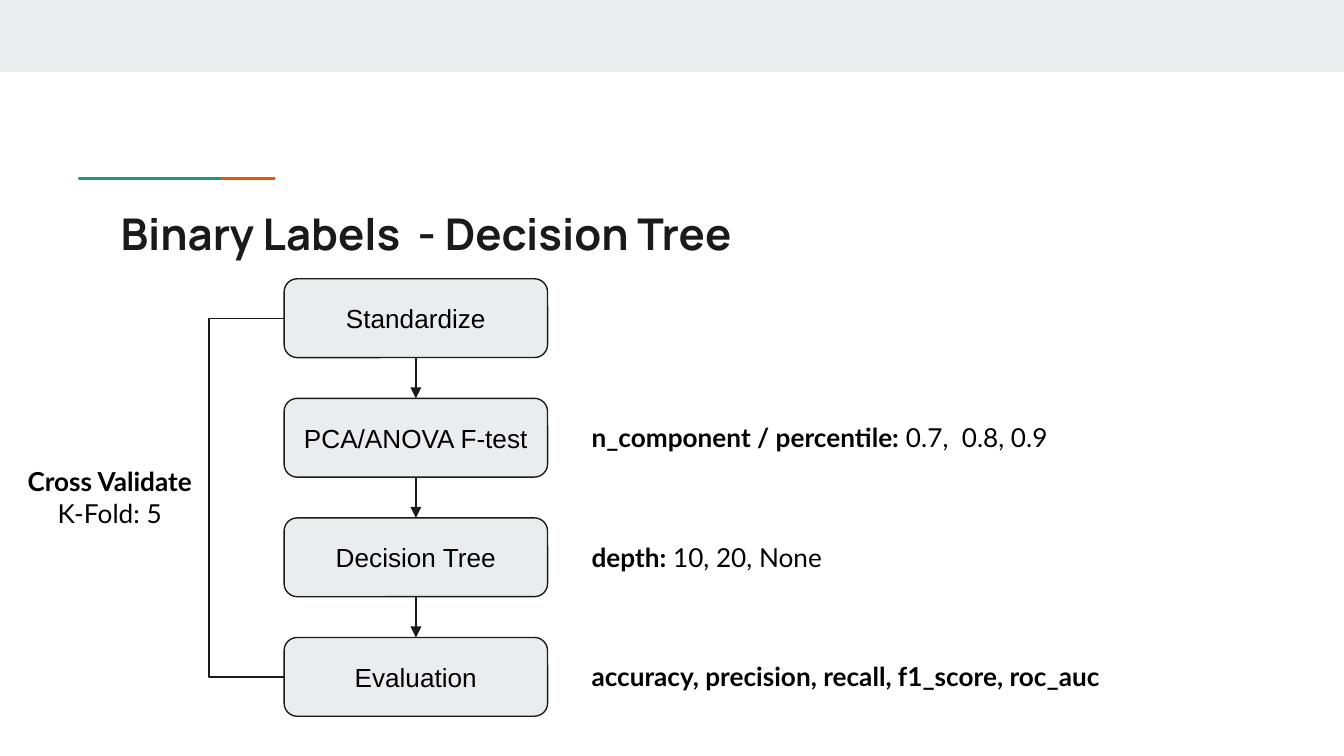
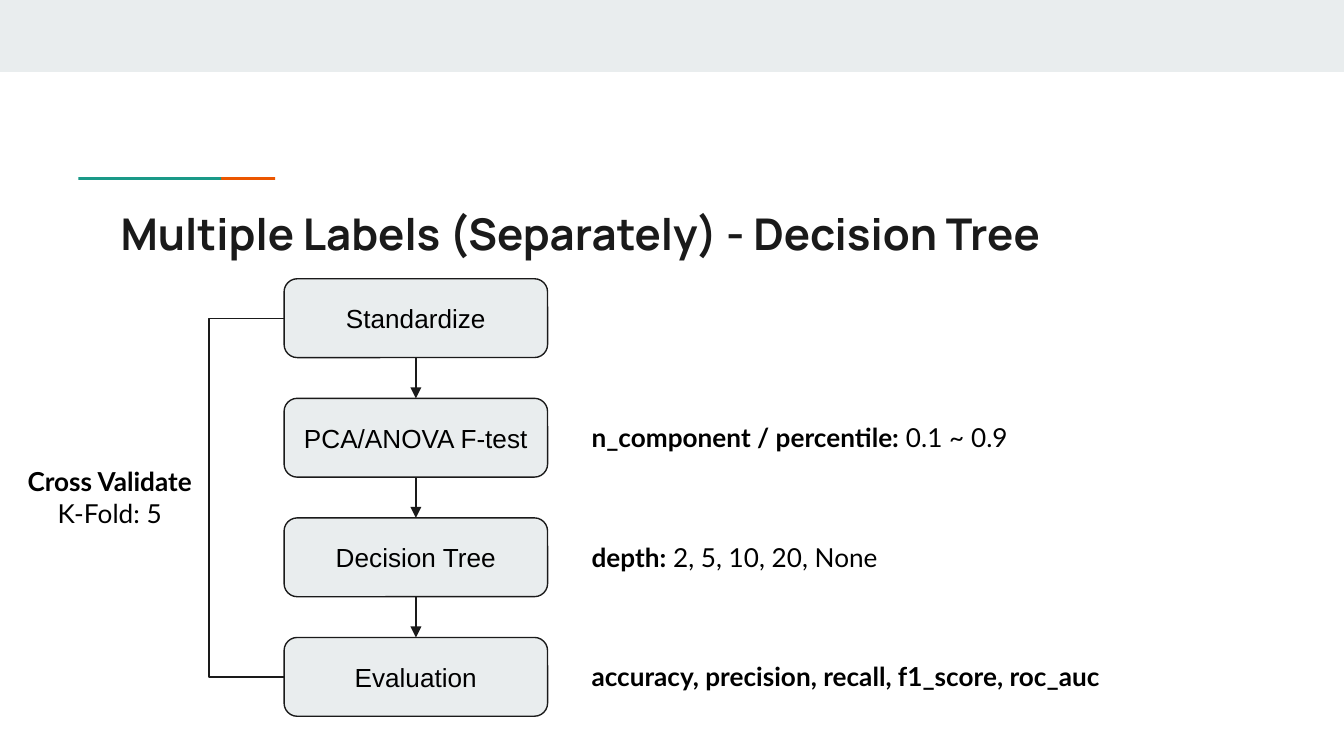
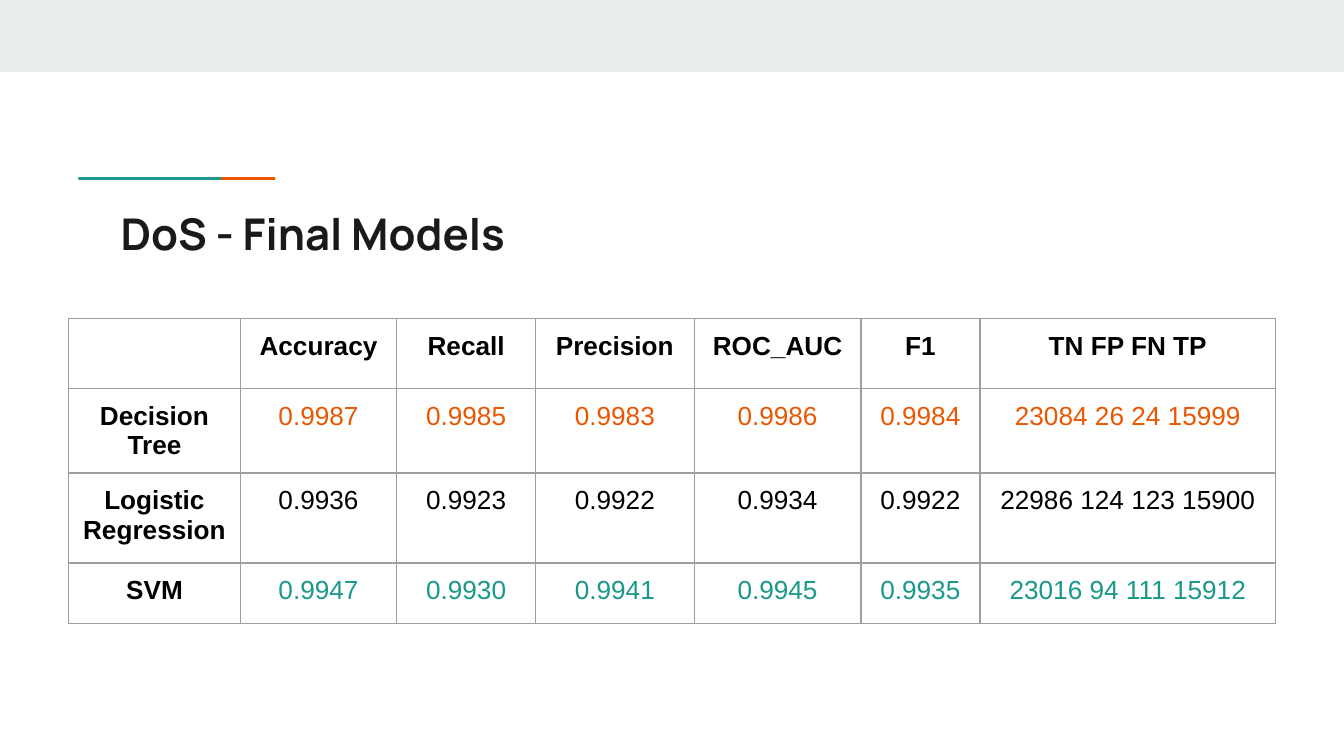
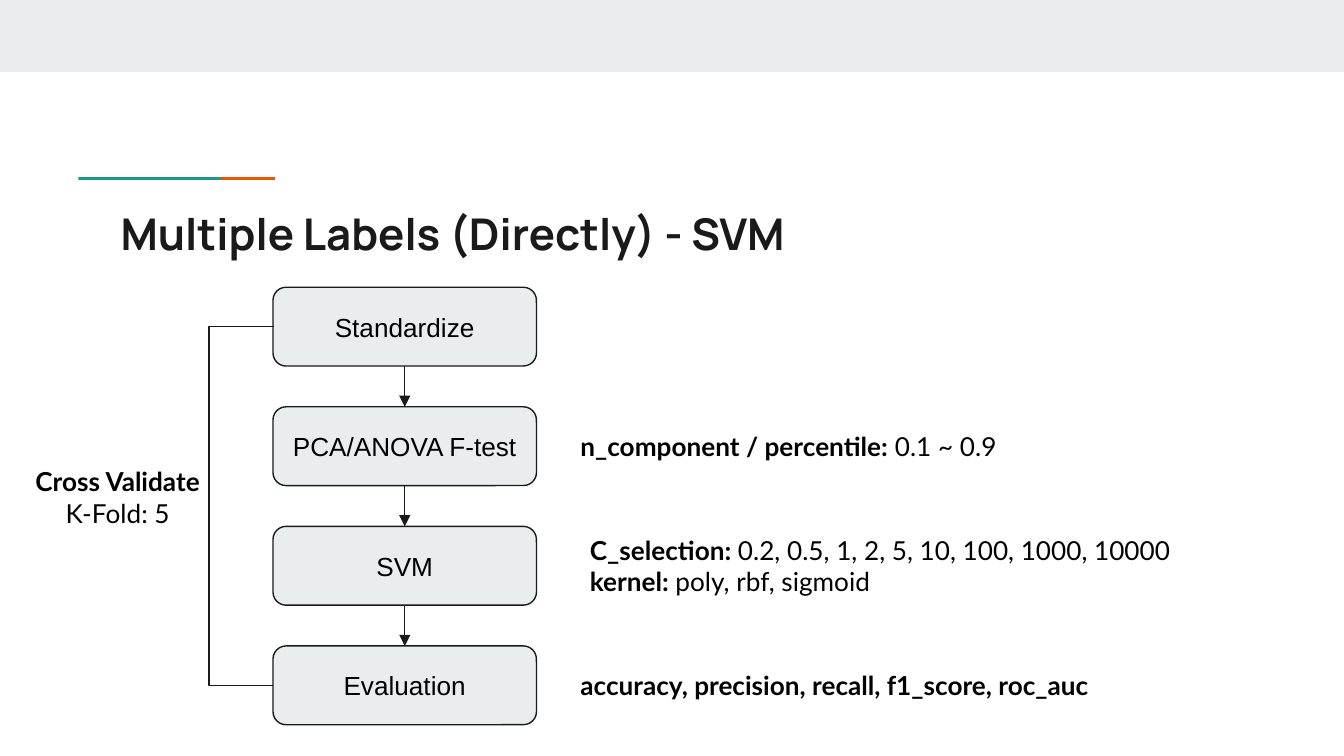
from lxml.etree import SubElement
from pptx import Presentation
from pptx.dml.color import RGBColor
from pptx.enum.shapes import MSO_CONNECTOR, MSO_SHAPE
from pptx.enum.text import MSO_ANCHOR, MSO_AUTO_SIZE, PP_ALIGN
from pptx.oxml.ns import qn
from pptx.util import Cm, Pt

MIST, INK, BLACK = "E9EDEE", "1A1A1A", "000000"
TEAL, ORANGE, GREY = "1A9988", "EB5600", "9E9E9E"
TITLE_FONT, NOTE_FONT, BOX_FONT = "Manrope", "Lato", "Arial"
INSET = Cm(0.25)

# Flow chart measures, in cm
STEP_WIDTH, STEP_HEIGHT, STEP_PITCH = 4.98, 1.49, 2.26
NOTE_OFFSET, NOTE_WIDTH, LINE_HEIGHT, NOTE_PADDING = 5.56, 10.19, 0.59, 0.52
BRACKET_LEFT, BRACKET_SPAN = 3.95, 0.01
LABEL_TOP, LABEL_WIDTH = 8.55, 4.45

METRICS_NOTE = [("accuracy, precision, recall, f1_score, roc_auc", "")]
SCORES = [
    (BLACK, ["", "Accuracy", "Recall", "Precision", "ROC_AUC", "F1", "TN FP FN TP"]),
    (ORANGE, ["Decision Tree", "0.9987", "0.9985", "0.9983", "0.9986", "0.9984",
              "23084 26 24 15999"]),
    (BLACK, ["Logistic Regression", "0.9936", "0.9923", "0.9922", "0.9934", "0.9922",
             "22986 124 123 15900"]),
    (TEAL, ["SVM", "0.9947", "0.9930", "0.9941", "0.9945", "0.9935",
            "23016 94 111 15912"]),
]
COLUMN_WIDTHS = [3.24, 2.96, 2.62, 3.0, 3.15, 2.25, 5.59]
ROW_HEIGHTS = [1.32, 1.6, 1.7, 1.15]


def colour(value):
    return RGBColor.from_string(value)


def style(para, font, size, hue, bold=None, align=PP_ALIGN.LEFT):
    para.alignment = align
    para.font.name, para.font.size = font, Pt(size)
    para.font.bold = bold
    para.font.color.rgb = colour(hue)


def set_insets(frame):
    frame.margin_left = frame.margin_right = INSET
    frame.margin_top = frame.margin_bottom = INSET
    frame.word_wrap = True


def add_shape(page, kind, left, top, width, height, fill, line=None):
    shape = page.shapes.add_shape(kind, Cm(left), Cm(top), Cm(width), Cm(height))
    shape.shadow.inherit = False
    shape.fill.solid()
    shape.fill.fore_color.rgb = colour(fill)
    if line:
        shape.line.color.rgb = colour(line)
        shape.line.width = Pt(0.75)
    else:
        shape.line.fill.background()
    return shape


def add_title_page(deck, title):
    """Blank page with the top band, two overlapping accent bars and a title."""
    page = deck.slides.add_slide(deck.slide_layouts[6])
    for hue, left, top, width, height in [
        (MIST, 0, 0, 25.4, 1.36),
        (ORANGE, 2.5, 3.35, 2.7, 0.05),
        (TEAL, 1.48, 3.35, 2.7, 0.05),
    ]:
        add_shape(page, MSO_SHAPE.RECTANGLE, left, top, width, height, hue)
    frame = page.shapes.add_textbox(Cm(2.03), Cm(3.66), Cm(21.36), Cm(1.5)).text_frame
    set_insets(frame)
    frame.text = title
    style(frame.paragraphs[0], TITLE_FONT, 23.4, INK, True)
    return page


def note_height(lines):
    return len(lines) * LINE_HEIGHT + NOTE_PADDING


def add_note(page, left, top, width, lines, align=PP_ALIGN.LEFT):
    """Each line is a pair: a bold part and a plain part."""
    box = page.shapes.add_textbox(Cm(left), Cm(top), Cm(width), Cm(note_height(lines)))
    frame = box.text_frame
    set_insets(frame)
    frame.auto_size = MSO_AUTO_SIZE.SHAPE_TO_FIT_TEXT
    for number, parts in enumerate(lines):
        para = frame.add_paragraph() if number else frame.paragraphs[0]
        for text, bold in zip(parts, (True, False)):
            if text:
                span = para.add_run()
                span.text = text
                span.font.bold = bold
        style(para, NOTE_FONT, 14, BLACK, align=align)


def add_step(page, left, top, text):
    step = add_shape(page, MSO_SHAPE.ROUNDED_RECTANGLE, left, top,
                     STEP_WIDTH, STEP_HEIGHT, MIST, INK)
    frame = step.text_frame
    set_insets(frame)
    frame.vertical_anchor = MSO_ANCHOR.MIDDLE
    frame.text = text
    style(frame.paragraphs[0], BOX_FONT, 14, BLACK, align=PP_ALIGN.CENTER)
    return step


def join(page, kind, start, start_side, end, end_side):
    link = page.shapes.add_connector(kind, 0, 0, 0, 0)
    link.begin_connect(start, start_side)
    link.end_connect(end, end_side)
    link.line.color.rgb = colour(INK)
    link.line.width = Pt(0.75)
    SubElement(link._element.spPr, qn("a:effectLst"))
    return link


def add_arrow(page, start, end):
    arrow = join(page, MSO_CONNECTOR.STRAIGHT, start, 2, end, 0)
    SubElement(arrow.line._get_or_add_ln(), qn("a:tailEnd"), type="triangle")


def add_bracket(page, left, first, last):
    """Elbow line from the last step round the left side to the first."""
    bracket = join(page, MSO_CONNECTOR.ELBOW, last, 1, first, 1)
    # The bend is a share of the width, so the width must not be zero
    bracket.width = Cm(BRACKET_SPAN)
    # A half turn plus a sideways flip runs upwards and bends to the left
    frame = bracket._element.spPr.find(qn("a:xfrm"))
    frame.attrib.pop("flipV", None)
    frame.set("rot", "10800000")
    frame.set("flipH", "1")
    bend = round((BRACKET_LEFT - left) / BRACKET_SPAN * 100000)
    guides = bracket._element.spPr.find(qn("a:prstGeom")).get_or_add_avLst()
    SubElement(guides, qn("a:gd"), name="adj1", fmla=f"val {bend}")


def add_flow(page, left, top, model, notes, label_left):
    """Four steps downwards; notes are (step number, shift, width, lines)."""
    names = ["Standardize", "PCA/ANOVA F-test", model, "Evaluation"]
    steps = [add_step(page, left, top + number * STEP_PITCH, name)
             for number, name in enumerate(names)]
    for start, end in zip(steps, steps[1:]):
        add_arrow(page, start, end)
    for number, shift, width, lines in notes:
        middle = top + number * STEP_PITCH + STEP_HEIGHT / 2
        add_note(page, left + NOTE_OFFSET + shift, middle - note_height(lines) / 2,
                 width, lines)
    add_bracket(page, left, steps[0], steps[-1])
    add_note(page, label_left, LABEL_TOP, LABEL_WIDTH,
             [("Cross Validate", ""), ("", "K-Fold: 5")], PP_ALIGN.CENTER)


def add_cell_borders(cell):
    properties = cell._tc.get_or_add_tcPr()
    for number, side in enumerate(("lnL", "lnR", "lnT", "lnB")):
        line = properties.makeelement(qn(f"a:{side}"), {"w": str(Pt(0.75))})
        SubElement(SubElement(line, qn("a:solidFill")), qn("a:srgbClr"), val=GREY)
        properties.insert(number, line)


def add_score_table(page, left, top):
    table = page.shapes.add_table(
        len(SCORES), len(COLUMN_WIDTHS), Cm(left), Cm(top),
        Cm(sum(COLUMN_WIDTHS)), Cm(sum(ROW_HEIGHTS))).table
    table.first_row = table.horz_banding = False
    for column, width in zip(table.columns, COLUMN_WIDTHS):
        column.width = Cm(width)
    for row, height in zip(table.rows, ROW_HEIGHTS):
        row.height = Cm(height)
    for row, (hue, values) in enumerate(SCORES):
        for column, value in enumerate(values):
            cell = table.cell(row, column)
            cell.margin_left = cell.margin_right = cell.margin_top = INSET
            # Smaller, so that two lines fit the row height
            cell.margin_bottom = Cm(0.15)
            cell.fill.background()
            add_cell_borders(cell)
            cell.text = value
            heading = row == 0 or column == 0
            style(cell.text_frame.paragraphs[0], BOX_FONT, 14,
                  BLACK if heading else hue, heading, PP_ALIGN.CENTER)


def add_tree_page(deck, title, share, depth):
    page = add_title_page(deck, title)
    notes = [
        (1, 0, NOTE_WIDTH, [("n_component / percentile:", share)]),
        (2, 0, NOTE_WIDTH, [("depth:", depth)]),
        (3, 0, NOTE_WIDTH, METRICS_NOTE),
    ]
    add_flow(page, 5.37, 5.27, "Decision Tree", notes, -0.15)


def add_svm_page(deck):
    page = add_title_page(deck, "Multiple Labels (Directly) - SVM")
    notes = [
        (1, 0, NOTE_WIDTH, [("n_component / percentile:", " 0.1 ~ 0.9")]),
        (3, 0, NOTE_WIDTH, METRICS_NOTE),
        (2, 0.18, 12.47, [
            ("C_selection: ", "0.2, 0.5, 1, 2, 5, 10, 100, 1000, 10000"),
            ("kernel: ", "poly, rbf, sigmoid"),
        ]),
    ]
    add_flow(page, 5.16, 5.43, "SVM", notes, 0)


def main():
    deck = Presentation()
    deck.slide_width, deck.slide_height = Cm(25.4), Cm(14.29)
    add_tree_page(deck, "Binary Labels  - Decision Tree",
                  " 0.7,  0.8, 0.9", " 10, 20, None")
    add_tree_page(deck, "Multiple Labels (Separately) - Decision Tree",
                  " 0.1 ~ 0.9", " 2, 5, 10, 20, None")
    add_score_table(add_title_page(deck, "DoS - Final Models"), 1.3, 6.02)
    add_svm_page(deck)
    deck.save("out.pptx")


if __name__ == "__main__":
    main()
